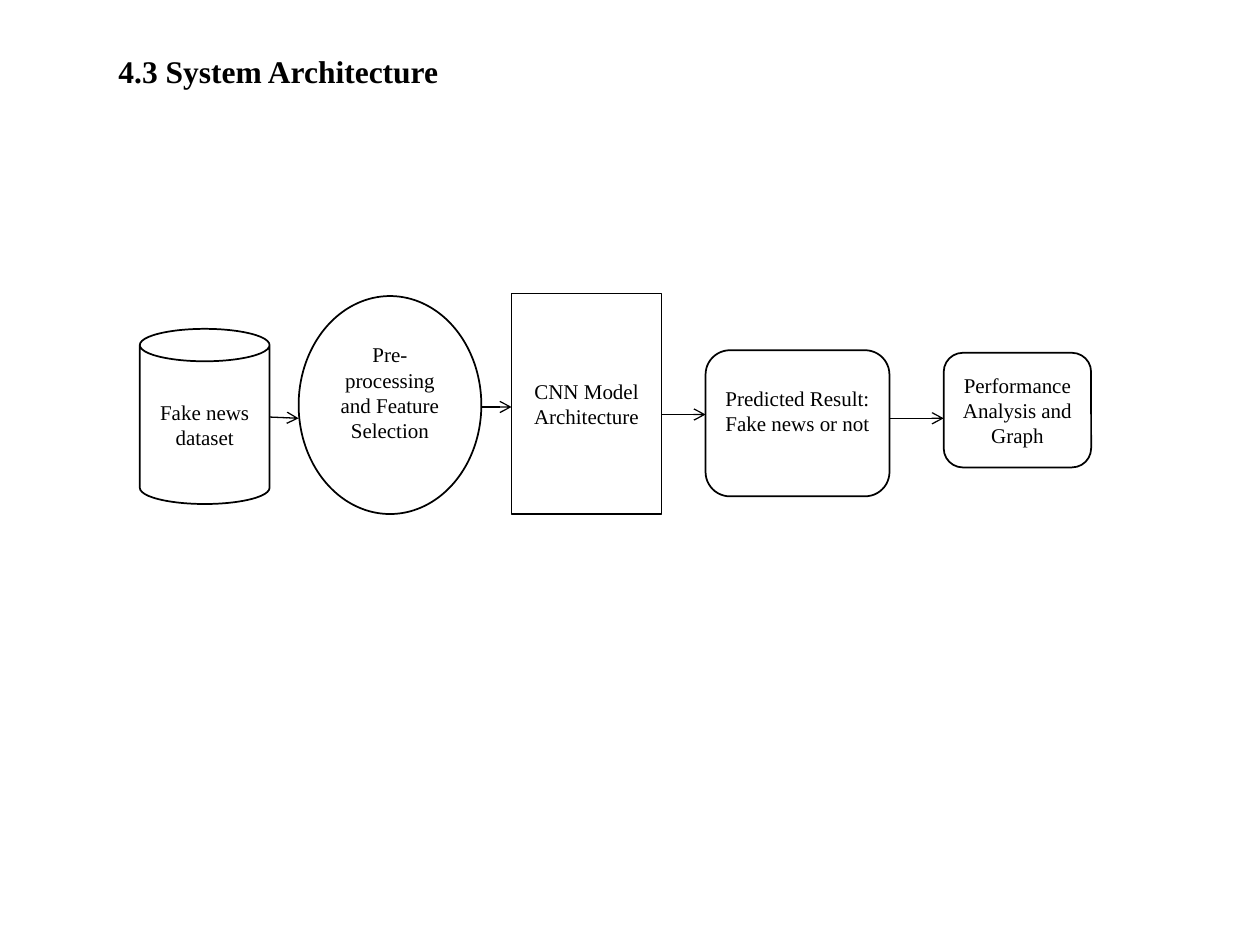
from itertools import pairwise
from lxml import etree
from pptx import Presentation, util as u
from pptx.dml.color import RGBColor
from pptx.enum import shapes, text
from pptx.oxml.ns import qn

BLACK = RGBColor(0, 0, 0)
WHITE = RGBColor(255, 255, 255)
FONT = "Times New Roman"
KIND = shapes.MSO_SHAPE
ALIGN = text.PP_ALIGN
ANCHOR = text.MSO_ANCHOR

# Kind, label, left, top, width, height (in), fill, room below the label
STEPS = [
    (KIND.CAN, "Fake news dataset", 1.11, 2.61, 1.03, 1.39, None, 0.05),
    (KIND.OVAL, "Pre-processing and Feature Selection",
     2.37, 2.35, 1.45, 1.73, WHITE, 0.25),
    (KIND.FLOWCHART_PROCESS, "CNN Model Architecture",
     4.06, 2.33, 1.19, 1.75, WHITE, 0.05),
    (KIND.ROUNDED_RECTANGLE, "Predicted Result: Fake news or not",
     5.6, 2.78, 1.46, 1.16, WHITE, 0.25),
    (KIND.ROUNDED_RECTANGLE, "Performance Analysis and Graph",
     7.49, 2.8, 1.17, 0.91, WHITE, 0.05),
]
# Start and end height of the arrow after each step
FLOWS = [(3.31, 3.32), (3.23, 3.23), (3.29, 3.29), (3.32, 3.32)]


def write(shape, words, size=12, bold=False, align=ALIGN.CENTER,
          anchor=ANCHOR.MIDDLE, wrap=True, below=0.05):
    frame = shape.text_frame
    frame.word_wrap = wrap
    frame.auto_size = text.MSO_AUTO_SIZE.NONE
    frame.vertical_anchor = anchor
    frame.margin_left = frame.margin_right = u.Inches(0.1)
    frame.margin_top, frame.margin_bottom = u.Inches(0.05), u.Inches(below)
    para = frame.paragraphs[0]
    para.text = words
    para.alignment = align
    para.space_before = u.Pt(0)
    font = para.runs[0].font
    font.name, font.size, font.bold = FONT, u.Pt(size), bold
    font.color.rgb = BLACK


def head(slide, box):
    title = slide.shapes.title
    title.left, title.top, title.width, title.height = map(u.Inches, box)
    write(title, "4.3 System Architecture", size=18, bold=True,
          align=ALIGN.LEFT, anchor=ANCHOR.TOP, wrap=False)


def node(slide, kind, words, box, fill, below):
    shape = slide.shapes.add_shape(kind, *map(u.Inches, box))
    shape.shadow.inherit = False
    if fill is None:
        shape.fill.background()
    else:
        shape.fill.solid()
        shape.fill.fore_color.rgb = fill
    shape.line.color.rgb = BLACK
    shape.line.width = u.Pt(1)
    write(shape, words, below=below)
    return shape


def arrow(slide, start, end, rows):
    y1, y2 = map(u.Inches, rows)
    link = slide.shapes.add_connector(
        shapes.MSO_CONNECTOR.STRAIGHT,
        start.left + start.width, y1, end.left, y2)
    link.line.color.rgb = BLACK
    link.line.width = u.Pt(0.75)
    etree.SubElement(link.line._get_or_add_ln(), qn("a:tailEnd"), type="arrow")
    etree.SubElement(link._element.spPr, qn("a:effectLst"))


def flow(slide):
    nodes = [node(slide, kind, words, box, fill, below)
             for kind, words, *box, fill, below in STEPS]
    for (start, end), rows in zip(pairwise(nodes), FLOWS):
        arrow(slide, start, end, rows)


def main():
    deck = Presentation()
    deck.slide_width, deck.slide_height = u.Inches(10), u.Inches(7.5)
    slide = deck.slides.add_slide(deck.slide_layouts[5])
    head(slide, (0.84, 0.36, 2.74, 0.4))
    flow(slide)
    deck.save("out.pptx")


if __name__ == "__main__":
    main()
